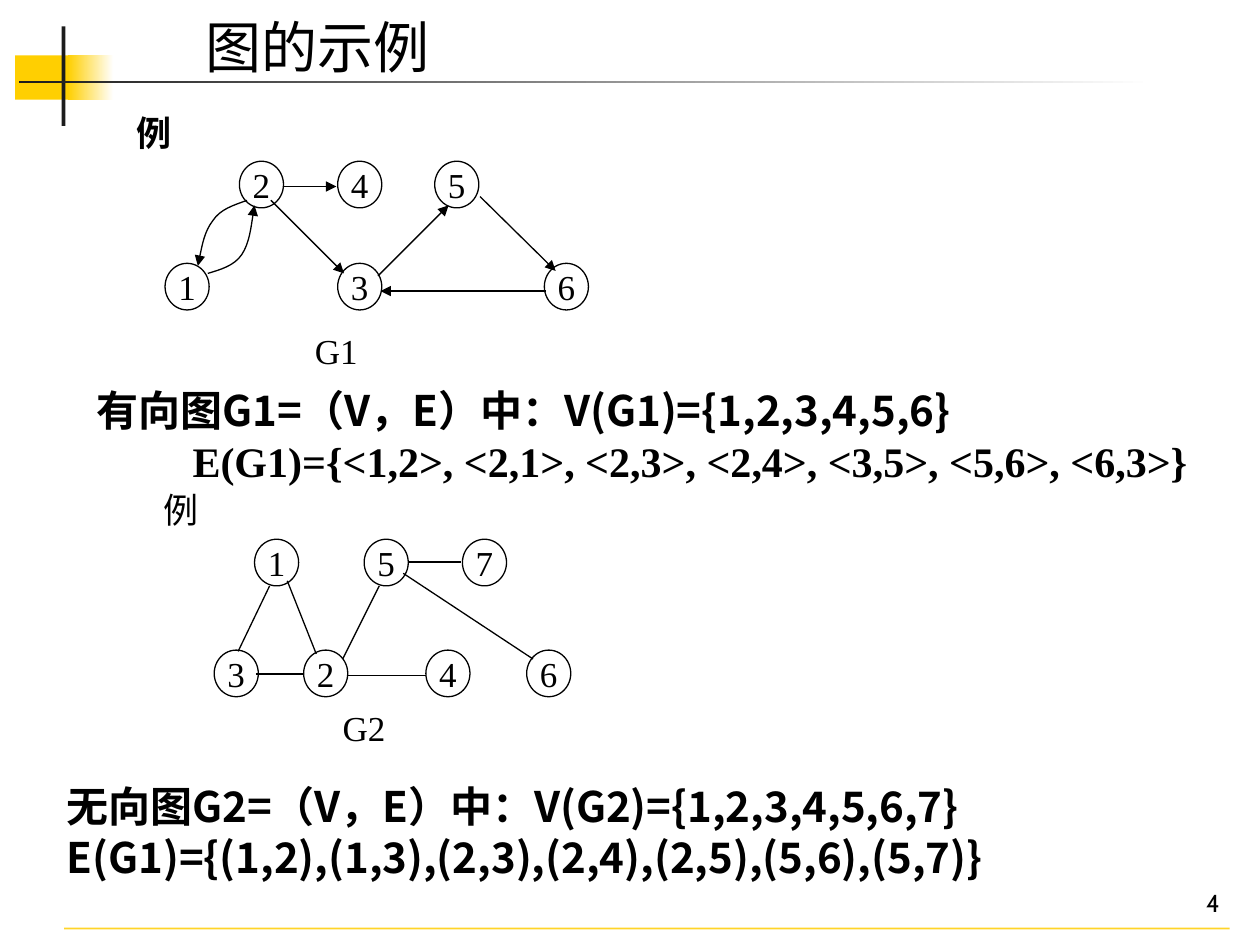
import dataclasses
import itertools

import pptx
import pptx.dml.color
import pptx.enum.shapes
import pptx.enum.text
import pptx.oxml
import pptx.oxml.ns
import pptx.util

COLS, ROWS = 100, 75
KIND = pptx.enum.shapes.MSO_SHAPE
ANCHOR = pptx.enum.text.MSO_ANCHOR
ALIGN = pptx.enum.text.PP_ALIGN
qn = pptx.oxml.ns.qn


@dataclasses.dataclass(frozen=True)
class Theme:
    ink: str = "000000"
    dark: str = "1C1C1C"
    gold: str = "FFCF01"
    rule: str = "FFCC00"
    paper: str = "FFFFFF"
    head: str = "Cabin"
    serif: str = "Times New Roman"
    sans: str = "Noto Sans CJK SC"
    title: int = 32
    body: int = 24
    label: int = 20
    page: int = 14
    line: float = 0.75


THEME = Theme()
deck = pptx.Presentation()
deck.slide_width = pptx.util.Inches(10)
deck.slide_height = pptx.util.Inches(7.5)


def col(n):
    return round(deck.slide_width * n / COLS)


def row(n):
    return round(deck.slide_height * n / ROWS)


def place(box, x, y, w, h):
    return col(box[0] + x), row(box[1] + y), col(w), row(h)


def paint(text):
    return pptx.dml.color.RGBColor.from_string(text)


def element(tag, **attrs):
    item = pptx.oxml.parse_xml(f"<a:{tag} {pptx.oxml.ns.nsdecls('a')}/>")
    for key, value in attrs.items():
        item.set(key, value)
    return item


def write(frame, text, font=THEME.serif, size=THEME.label, bold=False,
          align=ALIGN.CENTER, anchor=ANCHOR.MIDDLE, wrap=False, indent=0):
    frame.word_wrap = wrap
    frame.vertical_anchor = anchor
    para = frame.add_paragraph() if frame.text else frame.paragraphs[0]
    para.alignment = align
    if indent:
        para._p.get_or_add_pPr().set("marL", str(col(indent)))
    run = para.add_run()
    run.text = text
    run.font.name = font
    run.font.size = pptx.util.Pt(size)
    run.font.bold = bold
    run.font.color.rgb = paint(THEME.ink)
    run.font._element.append(element("ea", typeface=THEME.sans))


def frame(shapes, spot, grow=True):
    area = shapes.add_textbox(*spot).text_frame
    if grow:
        area.auto_size = pptx.enum.text.MSO_AUTO_SIZE.SHAPE_TO_FIT_TEXT
    return area


def bar(shapes, spot, color, fade=False):
    shape = shapes.add_shape(KIND.RECTANGLE, *spot)
    shape.shadow.inherit = False
    shape.line.fill.background()
    if fade:
        shape.fill.gradient()
        shape.fill.gradient_angle = 0
        for stop, tone in zip(shape.fill.gradient_stops, (color, THEME.paper)):
            stop.color.rgb = paint(tone)
    else:
        shape.fill.solid()
        shape.fill.fore_color.rgb = paint(color)


def stroke(line, color=THEME.ink, width=THEME.line, arrow=False):
    line.color.rgb = paint(color)
    line.width = pptx.util.Pt(width)
    if arrow:
        line._get_or_add_ln().append(element("tailEnd", type="triangle"))


def link(shapes, box, ends, **style):
    x, y, u, v = ends
    line = shapes.add_connector(
        pptx.enum.shapes.MSO_CONNECTOR.STRAIGHT,
        col(box[0] + x), row(box[1] + y), col(box[0] + u), row(box[1] + v))
    stroke(line.line, **style)
    line._element.spPr.append(element("effectLst"))
    return line


def curve(shapes, box, points):
    spots = [(col(box[0] + x), row(box[1] + y)) for x, y in points]
    build = shapes.build_freeform(*spots[0])
    build.add_line_segments(spots[1:], close=False)
    shape = build.convert_to_shape()
    shape.shadow.inherit = False
    shape.fill.background()
    stroke(shape.line, arrow=True)
    legs = iter(list(shape._element.iter(qn("a:lnTo"))))
    for trio in zip(legs, legs, legs):
        bend = element("cubicBezTo")
        trio[0].addprevious(bend)
        for leg in trio:
            bend.append(leg[0])
            leg.getparent().remove(leg)


def graph(slide, box, name, nodes, edges, arrow=False, curves=(), bold=False):
    shapes = slide.shapes.add_group_shape().shapes
    write(frame(shapes, place(box, 0, 0, 4.8, 4.3)), "例", bold=bold)
    for text, (x, y) in nodes.items():
        node = shapes.add_shape(KIND.OVAL, *place(box, x, y, 3.5, 3.7))
        node.shadow.inherit = False
        node.fill.background()
        stroke(node.line)
        write(node.text_frame, text)
    for ends in edges:
        link(shapes, box, ends, arrow=arrow)
    for points in curves:
        curve(shapes, box, points)
    write(frame(shapes, place(box, 14.2, 17.3, 5.4, 4.3)), name)


def banner(slide, box):
    shapes = slide.shapes.add_group_shape().shapes
    bar(shapes, place(box, 0, 2.3, 4.8, 3.5), THEME.gold)
    bar(shapes, place(box, 4.2, 2.3, 3.6, 3.5), THEME.gold, fade=True)
    bar(shapes, place(box, 3.7, 0, 0.3, 7.9), THEME.dark)
    bar(shapes, place(box, 0.3, 4.3, 90, 0.2), THEME.dark, fade=True)
    write(frame(slide.shapes, place(box, 14.1, -1.6, 48.8, 6.3)), "图的示例",
          font=THEME.head, size=THEME.title, align=ALIGN.LEFT,
          anchor=ANCHOR.TOP, wrap=True)


def footer(slide, box):
    line = link(slide.shapes, box, (0, 5.4, 92.5, 5.4), color=THEME.rule, width=1)
    tone = next(line._element.iter(qn("a:srgbClr")))
    tone.append(element("alpha", val="83000"))
    write(frame(slide.shapes, place(box, 71.9, 0, 20.8, 5), grow=False), "4",
          font=THEME.head, size=THEME.page, align=ALIGN.RIGHT,
          anchor=ANCHOR.BOTTOM, wrap=True)


def sets(slide, box, width, first, second, font, indent=0, wrap=False):
    area = frame(slide.shapes, place(box, 0, 0, width, 9.1))
    for text, face, inset in ((first, THEME.sans, 0), (second, font, indent)):
        write(area, text, font=face, size=THEME.body, bold=True,
              align=ALIGN.LEFT, indent=inset, wrap=wrap)


def line_up(*rows):
    return dict(itertools.chain.from_iterable(
        ((text, (x, y)) for text, x in items) for y, items in rows))


def main():
    slide = deck.slides.add_slide(deck.slide_layouts[6])
    banner(slide, (1.2, 2.1))
    footer(slide, (5.1, 68.3))
    graph(slide, (9.8, 8.4), "G1",
          line_up((4.4, (("2", 9.2), ("4", 17), ("5", 24.7))),
                  (12.5, (("1", 3.3), ("3", 17), ("6", 33.4)))),
          ((12.7, 6.4, 16.9, 6.4), (11.7, 7.5, 17.5, 13.3),
           (33.5, 14.7, 20.4, 14.7), (20.2, 13.5, 25.8, 7.9),
           (28.3, 7.2, 34.3, 13.1)),
          arrow=True, bold=True,
          curves=(((9.8, 7.5), (8.7, 7.9), (7.7, 8.2), (7.1, 9.1),
                   (6.4, 10), (6, 12.2), (5.9, 12.7)),
                  ((6.7, 13.3), (7.7, 13), (8.8, 12.7), (9.4, 11.8),
                   (10, 10.9), (10.3, 8.5), (10.4, 7.9))))
    sets(slide, (6.7, 30), 89.4, "有向图G1=（V，E）中：V(G1)={1,2,3,4,5,6}",
         "E(G1)={<1,2>, <2,1>, <2,3>, <2,4>, <3,5>, <5,6>, <6,3>}",
         THEME.serif, indent=7.6)
    graph(slide, (12, 38.3), "G2",
          line_up((4.5, (("1", 8.2), ("5", 16.9), ("7", 24.7))),
                  (13.3, (("3", 5), ("2", 12.1), ("4", 21.8), ("6", 29.8)))),
          ((9.4, 8.2, 6.9, 13.4), (8.3, 15.2, 12.1, 15.2),
           (10.8, 7.8, 13.1, 13.6), (18.1, 8.2, 15.2, 14),
           (15.6, 15.3, 21.8, 15.3), (20.4, 6.3, 24.6, 6.3),
           (20, 7.2, 30.3, 14)))
    sets(slide, (4.3, 61.4), 92.1, "无向图G2=（V，E）中：V(G2)={1,2,3,4,5,6,7}",
         "E(G1)={(1,2),(1,3),(2,3),(2,4),(2,5),(5,6),(5,7)}",
         THEME.sans, wrap=True)
    deck.save("out.pptx")


if __name__ == "__main__":
    main()
